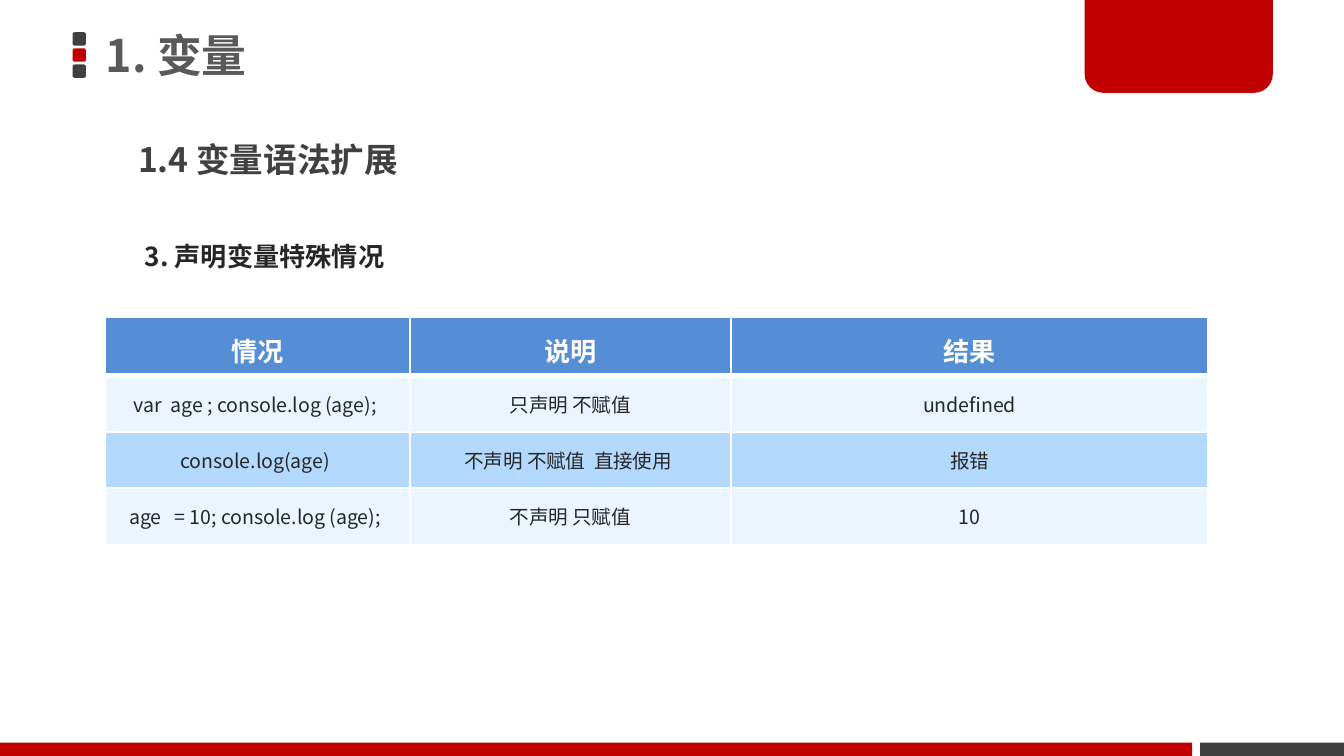
from lxml import etree
from pptx import Presentation
from pptx import util as u
from pptx.dml.color import RGBColor
from pptx.enum import shapes, text
from pptx.oxml import ns

WIDE = 10
HIGH = WIDE * 9 / 16
FONT = "Noto Sans CJK SC"
RED = RGBColor(0xC0, 0, 0)
DARK = RGBColor(0x40, 0x40, 0x40)
GREY = RGBColor(0x59, 0x59, 0x59)
INK = RGBColor(0x26, 0x26, 0x26)
WHITE = RGBColor(0xFF, 0xFF, 0xFF)
BLUE = RGBColor(0x55, 0x8E, 0xD5)
PALE = RGBColor(0xEB, 0xF5, 0xFF)
SKY = RGBColor(0xB3, 0xD9, 0xFF)

HEAD = ["情况", "说明", "结果"]
CASES = [
    ["var  age ; console.log (age); ", "只声明 不赋值", "undefined"],
    ["console.log(age) ", "不声明 不赋值  直接使用 ", "报错"],
    ["age   = 10; console.log (age); ", "不声明 只赋值", "10"],
]


def write(frame, words, size, color, bold=False, align=None, line=None,
          anchor=text.MSO_ANCHOR.TOP):
    frame.word_wrap = True
    frame.vertical_anchor = anchor
    para = frame.paragraphs[0]
    para.alignment = align
    para.line_spacing = line
    run = para.add_run()
    run.text = words
    font = run.font
    font.name, font.size, font.bold = FONT, u.Pt(size), bold
    font.color.rgb = color
    east = etree.SubElement(run._r.get_or_add_rPr(), ns.qn("a:ea"))
    east.set("typeface", FONT)


def label(slide, box, words, size, color, **form):
    frame = slide.shapes.add_textbox(*map(u.Inches, box)).text_frame
    write(frame, words, size, color, bold=True, **form)


def block(slide, kind, box, color):
    shape = slide.shapes.add_shape(kind, *map(u.Inches, box))
    shape.shadow.inherit = False
    shape.fill.solid()
    shape.fill.fore_color.rgb = color
    shape.line.fill.background()
    return shape


def marker(slide, left, top, side, step):
    """Stack three small rounded squares."""
    for i, color in enumerate([DARK, RED, DARK]):
        block(slide, shapes.MSO_SHAPE.ROUNDED_RECTANGLE,
              (left, top + i * step, side, side), color)


def tab(slide, box):
    """Hang a tab with round lower corners from the top edge."""
    shape = block(slide, shapes.MSO_SHAPE.ROUND_2_SAME_RECTANGLE, box, RED)
    shape.adjustments[0] = 0.2
    shape.rotation = 180


def footer(slide, height, split, gap):
    top = HIGH - height
    rect = shapes.MSO_SHAPE.RECTANGLE
    block(slide, rect, (0, top, split, height), RED)
    start = split + gap
    block(slide, rect, (start, top, WIDE - start, height), DARK)


def edge(cell, top, bottom):
    """Draw white borders, with the top and bottom widths in points."""
    props = cell._tc.get_or_add_tcPr()
    sides = [("L", 1), ("R", 1), ("T", top), ("B", bottom)]
    for i, (side, width) in enumerate(sides):
        line = etree.Element(ns.qn("a:ln" + side), w=str(u.Pt(width)))
        fill = etree.SubElement(line, ns.qn("a:solidFill"))
        etree.SubElement(fill, ns.qn("a:srgbClr"), val=str(WHITE))
        props.insert(i, line)


def grid(slide, box, widths):
    rows = [HEAD] + CASES
    table = slide.shapes.add_table(
        len(rows), len(widths), *map(u.Inches, box)).table
    for col, width in zip(table.columns, widths):
        col.width = u.Inches(width)
    for r, row in enumerate(rows):
        for c, words in enumerate(row):
            cell = table.cell(r, c)
            cell.fill.solid()
            cell.fill.fore_color.rgb = (
                BLUE if r == 0 else PALE if r % 2 else SKY)
            edge(cell, 3 if r == 1 else 1, 3 if r == 0 else 1)
            form = dict(align=text.PP_ALIGN.CENTER)
            if r == 0:
                write(cell.text_frame, words, 14, WHITE, bold=True,
                      line=u.Pt(24), **form)
            else:
                write(cell.text_frame, words, 10.5, INK, **form)
                cell.vertical_anchor = text.MSO_ANCHOR.MIDDLE


def main():
    deck = Presentation()
    deck.slide_width, deck.slide_height = u.Inches(WIDE), u.Inches(HIGH)
    slide = deck.slides.add_slide(deck.slide_layouts[6])
    marker(slide, 0.54, 0.24, 0.1, 0.12)
    tab(slide, (8.07, 0, 1.4, 0.69))
    footer(slide, 0.1, 8.87, 0.06)
    label(slide, (0.69, 0, 7.37, 0.87), "1. 变量", 24, GREY,
          line=0.9, anchor=text.MSO_ANCHOR.MIDDLE)
    label(slide, (0.93, 1.02, 7.13, 0.59), "1.4 变量语法扩展", 18, DARK,
          line=0.9)
    label(slide, (0.98, 1.62, 3.84, 0.45), "3. 声明变量特殊情况", 14, INK,
          line=1.5)
    grid(slide, (0.78, 2.36, 8.22, 1.68), [2.27, 2.39, 3.55])
    deck.save("out.pptx")


if __name__ == "__main__":
    main()
